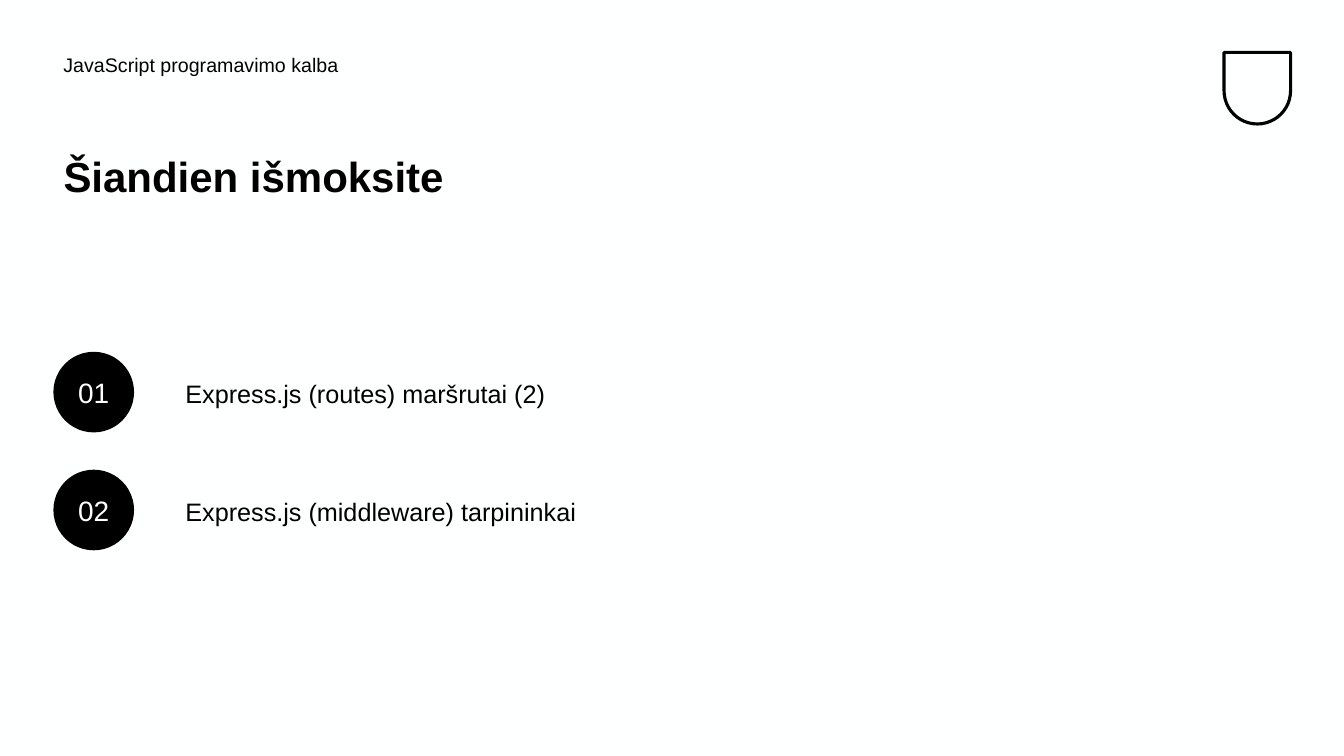
from pptx import Presentation
from pptx.dml.color import RGBColor
from pptx.enum.shapes import MSO_SHAPE
from pptx.enum.text import MSO_ANCHOR, MSO_AUTO_SIZE, PP_ALIGN
from pptx.util import Emu, Pt

BLACK = RGBColor(0x00, 0x00, 0x00)
WHITE = RGBColor(0xFE, 0xFF, 0xFF)
OVAL = MSO_SHAPE.OVAL
SHIELD = MSO_SHAPE.ROUND_2_SAME_RECTANGLE
TOP, MIDDLE = MSO_ANCHOR.TOP, MSO_ANCHOR.MIDDLE
LEFT, CENTER = PP_ALIGN.LEFT, PP_ALIGN.CENTER
FIXED = MSO_AUTO_SIZE.NONE
TITLE_ONLY = 5
EMU_PER_PX = 9144

TOPICS = ["Express.js (routes) maršrutai (2)", "Express.js (middleware) tarpininkai"]
FIRST_TOPIC_TOP = 349
TOPIC_STEP = 117
CIRCLE_SIZE = 80


def px(*lengths):
    return [Emu(length * EMU_PER_PX) for length in lengths]


def write(shape, text, size=18, color=BLACK, bold=False, align=LEFT, anchor=TOP, spacing=1.0):
    frame = shape.text_frame
    frame.word_wrap = True
    frame.auto_size = FIXED
    frame.vertical_anchor = anchor
    para = frame.paragraphs[0]
    para.alignment = align
    para.line_spacing = spacing
    span = para.add_run()
    span.text = text
    span.font.name = "Arial"
    span.font.size = Pt(size)
    span.font.bold = bold
    span.font.color.rgb = color


class LessonPage:
    def __init__(self, deck):
        self.page = deck.slides.add_slide(deck.slide_layouts[TITLE_ONLY])
        background = self.page.background.fill
        background.solid()
        background.fore_color.rgb = WHITE

    def title(self, text, left, top, width, height):
        title = self.page.shapes.title
        title.left, title.top, title.width, title.height = px(left, top, width, height)
        write(title, text, size=30, bold=True, spacing=0.9)

    def label(self, text, left, top, width, height, **style):
        box = self.page.shapes.add_textbox(*px(left, top, width, height))
        write(box, text, **style)

    def circle(self, text, left, top, size):
        circle = self.page.shapes.add_shape(OVAL, *px(left, top, size, size))
        circle.shadow.inherit = False
        circle.fill.solid()
        circle.fill.fore_color.rgb = BLACK
        circle.line.fill.background()
        write(circle, text, size=20, color=WHITE, align=CENTER, anchor=MIDDLE)

    def shield(self, left, top, width, height):
        shield = self.page.shapes.add_shape(SHIELD, *px(left, top, width, height))
        shield.adjustments[0] = 0.5
        shield.rotation = 180
        shield.shadow.inherit = False
        shield.fill.background()
        shield.line.color.rgb = BLACK
        shield.line.width = Pt(2.25)


def main():
    deck = Presentation()
    deck.slide_width, deck.slide_height = px(1333, 750)
    lesson = LessonPage(deck)
    lesson.shield(1214, 52, 66, 71)
    lesson.label("JavaScript programavimo kalba", 53, 50, 742, 50, size=14, spacing=0.9)
    lesson.title("Šiandien išmoksite", 53, 150, 564, 149)
    for index, topic in enumerate(TOPICS):
        top = FIRST_TOPIC_TOP + index * TOPIC_STEP
        lesson.label(topic, 174, top + 21, 538, 45)
        lesson.circle(f"{index + 1:02}", 53, top, CIRCLE_SIZE)
    deck.save("out.pptx")


if __name__ == "__main__":
    main()
